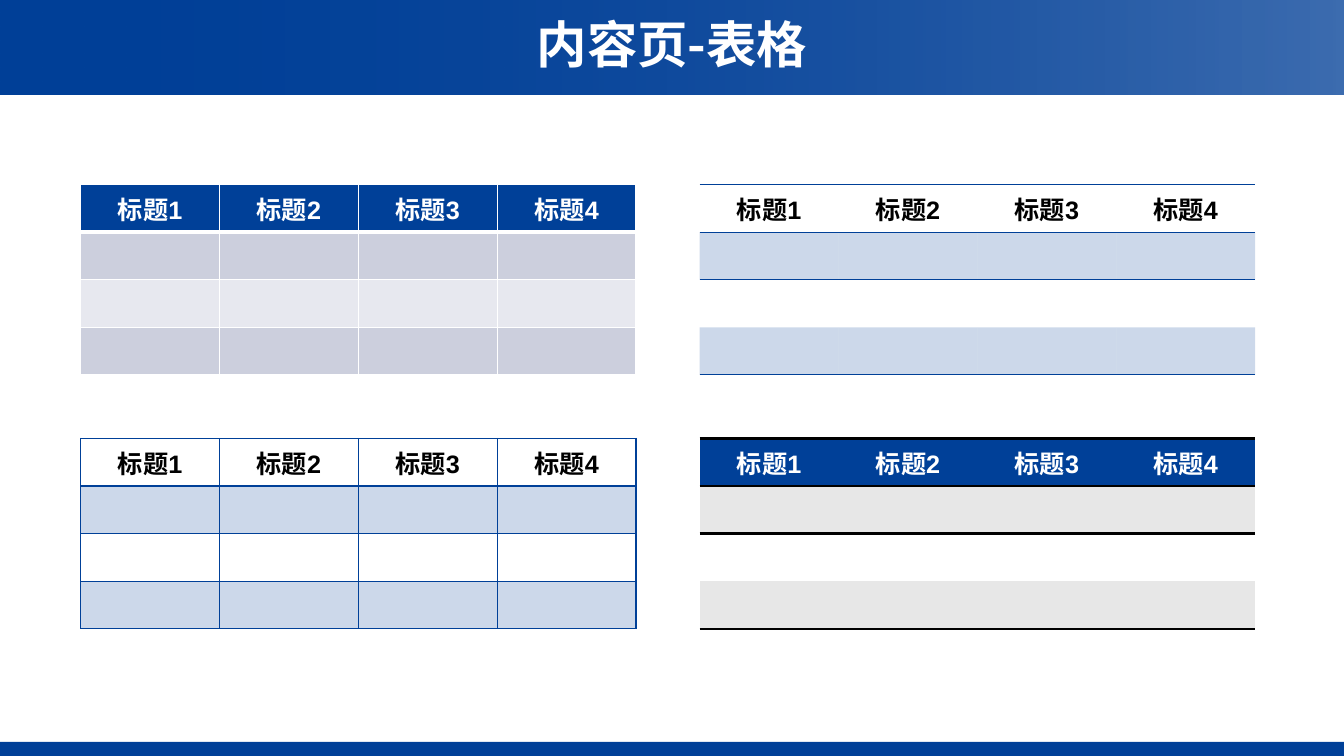
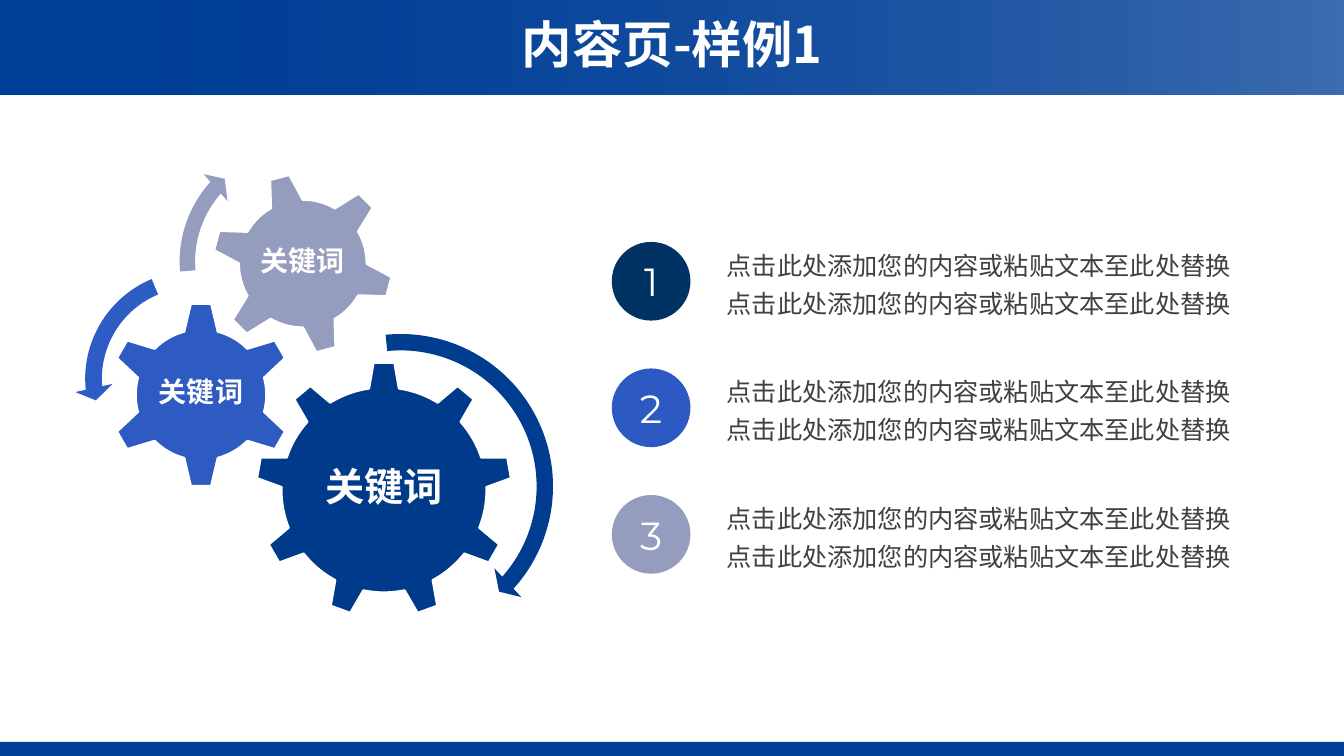
import lxml.etree
import pptx
import pptx.dml.color
import pptx.enum.shapes
import pptx.enum.text
import pptx.oxml.ns
import pptx.util

Pt = pptx.util.Pt
SHAPE = pptx.enum.shapes.MSO_SHAPE
ALIGN = pptx.enum.text.PP_ALIGN
ANCHOR = pptx.enum.text.MSO_ANCHOR
AUTO = pptx.enum.text.MSO_AUTO_SIZE
qn = pptx.oxml.ns.qn

# Shared look
WIDTH, HEIGHT = 960, 540
HEADER_H, FOOTER_H = 67.7, 10
BLUE, NAVY, ROYAL, GREY_BLUE = "004098", "003264", "2D5AC2", "959DBF"
WHITE, BLACK, TEXT = "FFFFFF", "000000", "404040"
CJK, LATIN, DIGITS = "Noto Sans CJK SC", "Arial", "Montserrat"
NO_TABLE_STYLE = "{2D5ABB26-0587-4C30-8999-92F81FD0307C}"


def rgb(color):
    return pptx.dml.color.RGBColor.from_string(color)


def set_alpha(color_element, percent):
    alpha = lxml.etree.SubElement(color_element, qn("a:alpha"))
    alpha.set("val", str(percent * 1000))


def add_run(p, text, size, color, font=CJK, bold=False):
    r = p.add_run()
    r.text = text
    r.font.size = Pt(size)
    r.font.bold = bold
    r.font.color.rgb = rgb(color)
    r.font.name = font
    ea = lxml.etree.SubElement(r.font._element, qn("a:ea"))
    ea.set("typeface", CJK)


def set_insets(tf, inset):
    tf.margin_left = tf.margin_right = Pt(inset)
    tf.margin_top = tf.margin_bottom = Pt(inset)


def add_shape(s, kind, x, y, w, h, color=None, line=None):
    sp = s.shapes.add_shape(kind, Pt(x), Pt(y), Pt(w), Pt(h))
    sp.shadow.inherit = False
    if color:
        sp.fill.solid()
        sp.fill.fore_color.rgb = rgb(color)
    if line:
        sp.line.color.rgb = rgb(line)
        sp.line.width = Pt(1.5)
    else:
        sp.line.fill.background()
    return sp


def add_centred(s, kind, cx, cy, size, color, line=None):
    return add_shape(s, kind, cx - size / 2, cy - size / 2, size, size, color, line)


# Header and footer bands, kept on the layout
def move_bands_to_layout(s):
    bands = [add_shape(s, SHAPE.RECTANGLE, 0, HEIGHT - FOOTER_H, WIDTH, FOOTER_H, BLUE)]
    for right_alpha in (77, 0):
        sp = add_shape(s, SHAPE.RECTANGLE, 0, 0, WIDTH, HEADER_H)
        sp.fill.gradient()
        sp.fill.gradient_angle = 180
        for stop in sp.fill.gradient_stops:
            stop.color.rgb = rgb(BLUE)
        set_alpha(sp.element.xpath(".//a:gs/a:srgbClr")[0], right_alpha)
        bands.append(sp)
    tree = s.slide_layout.shapes.element
    for i, sp in enumerate(bands):
        sp.element.xpath(".//p:cNvPr")[0].set("id", str(101 + i))
        tree.insert(2 + i, sp.element)


def add_slide(prs, title):
    s = prs.slides.add_slide(prs.slide_layouts[5])
    sp = s.shapes.title
    sp.left, sp.top, sp.width, sp.height = Pt(0), Pt(0), Pt(WIDTH), Pt(HEADER_H)
    tf = sp.text_frame
    tf.word_wrap = True
    tf.auto_size = AUTO.NONE
    tf.vertical_anchor = ANCHOR.MIDDLE
    set_insets(tf, 11.5)
    p = tf.paragraphs[0]
    p.alignment = ALIGN.CENTER
    p.line_spacing = 0.9
    add_run(p, title, 36, WHITE, bold=True)
    return s


# Tables
def set_border(cell, side, color, width):
    ln = lxml.etree.SubElement(cell._tc.get_or_add_tcPr(), qn("a:ln" + side))
    ln.set("w", str(Pt(width)))
    fill = lxml.etree.SubElement(ln, qn("a:solidFill"))
    lxml.etree.SubElement(fill, qn("a:srgbClr")).set("val", color)


def set_cell_fill(cell, color, alpha=None):
    if color is None:
        cell.fill.background()
        return
    cell.fill.solid()
    cell.fill.fore_color.rgb = rgb(color)
    if alpha:
        set_alpha(cell._tc.tcPr.xpath("./a:solidFill/a:srgbClr")[0], alpha)


def add_table(s, x, y, w, h, look):
    n_rows, n_cols = 4, 4
    frame = s.shapes.add_table(n_rows, n_cols, Pt(x), Pt(y), Pt(w), Pt(h))
    table = frame.table
    table.first_row = table.horz_banding = False
    frame.element.xpath(".//a:tableStyleId")[0].text = NO_TABLE_STYLE
    for column in table.columns:
        column.width = Pt(w / n_cols)
    last = n_rows - 1
    for i in range(n_rows):
        table.rows[i].height = Pt(h / n_rows)
        for j in range(n_cols):
            cell = table.cell(i, j)
            cell.vertical_anchor = ANCHOR.MIDDLE
            # Row rules: under the header, and round the outside or every cell
            sides = {}
            if look["grid"]:
                sides = dict.fromkeys("LRTB", look["line"])
            if i == 0:
                sides.update(T=look["line"], B=look["header_rule"])
            if i == 1:
                sides["T"] = look["header_rule"]
            if i == last:
                sides["B"] = look["line"]
            for side in "LRTB":
                if side in sides:
                    set_border(cell, side, look["line_color"], sides[side])
            if i == 0:
                set_cell_fill(cell, look["header"])
                p = cell.text_frame.paragraphs[0]
                p.alignment = ALIGN.CENTER
                color = WHITE if look["header"] else BLACK
                add_run(p, f"标题{j + 1}", 18, color, LATIN, True)
            else:
                set_cell_fill(cell, *look["bands"][(i - 1) % 2])


def table_slide(prs):
    s = add_slide(prs, "内容页-表格")
    move_bands_to_layout(s)
    tint, clear = (BLUE, 20), (None,)
    looks = [
        dict(header=BLUE, bands=[("CCCFDD",), ("E7E8EF",)], grid=True,
             line_color=WHITE, line=1, header_rule=3),
        dict(header=None, bands=[tint, clear], grid=False,
             line_color=BLUE, line=1, header_rule=1),
        dict(header=None, bands=[tint, clear], grid=True,
             line_color=BLUE, line=1, header_rule=2),
        dict(header=BLUE, bands=[("E7E7E7",), (WHITE,)], grid=False,
             line_color=BLACK, line=2, header_rule=2),
    ]
    for i, look in enumerate(looks):
        row, col = divmod(i, 2)
        add_table(s, 57.6 + col * 442.2, 131.8 + row * 181.4, 396.8, 136, look)


# Gears with keywords and turning arrows
def add_gears(s, x, y):
    gears = [
        (SHAPE.GEAR_9, 221, 255, 183, 0, "003A8A", 28),
        (SHAPE.GEAR_6, 90.3, 187, 133.2, 0, "2D5BC2", 20),
        (SHAPE.GEAR_6, 163, 93.3, 130.3, 345, GREY_BLUE, 20),
    ]
    for kind, cx, cy, size, turn, color, font_size in gears:
        add_centred(s, kind, x + cx, y + cy, size, color, WHITE).rotation = turn
        side = size * 0.6
        box = s.shapes.add_textbox(Pt(x + cx - side / 2), Pt(y + cy - side / 2 - 1),
                                   Pt(side), Pt(side))
        tf = box.text_frame
        tf.word_wrap = True
        tf.vertical_anchor = ANCHOR.MIDDLE
        set_insets(tf, 2)
        p = tf.paragraphs[0]
        p.alignment = ALIGN.CENTER
        p.line_spacing = 0.9
        add_run(p, "关键词", font_size, WHITE, LATIN, True)

    arrows = [
        (SHAPE.CIRCULAR_ARROW, 232.9, 252.4, 234, "003D91",
         (0.05, 2.99, 25.17, 158.6, 0.06)),
        (SHAPE.LEFT_CIRCULAR_ARROW, 84.9, 175.7, 170, "2E5CC5",
         (0.07, 4.3, 104.89, 148.38, 0.08)),
        (SHAPE.CIRCULAR_ARROW, 159.5, 91.8, 183.6, GREY_BLUE,
         (0.06, 3.94, 133.14, 105.08, 0.07)),
    ]
    for kind, cx, cy, size, color, adjustments in arrows:
        sp = add_centred(s, kind, x + cx, y + cy, size, color)
        for i, value in enumerate(adjustments):
            sp.adjustments[i] = value


# Numbered point with two lines of text
def add_point(s, x, y, number, color):
    sp = add_shape(s, SHAPE.OVAL, x, y, 56.2, 56.2, color)
    tf = sp.text_frame
    tf.vertical_anchor = ANCHOR.MIDDLE
    p = tf.paragraphs[0]
    p.alignment = ALIGN.CENTER
    add_run(p, str(number), 28, WHITE, DIGITS)

    box = s.shapes.add_textbox(Pt(x + 75), Pt(y - 3), Pt(411), Pt(59))
    tf = box.text_frame
    tf.word_wrap = True
    tf.auto_size = AUTO.SHAPE_TO_FIT_TEXT
    for p in (tf.paragraphs[0], tf.add_paragraph()):
        p.alignment = ALIGN.JUSTIFY
        p.line_spacing = 1.25
        add_run(p, "点击此处添加您的内容或粘贴文本至此处替换", 18, TEXT)


def gear_slide(prs):
    s = add_slide(prs, "内容页-样例1")
    for i, color in enumerate((NAVY, ROYAL, GREY_BLUE)):
        add_point(s, 437, 172.8 + i * 90.4, i + 1, color)
    add_gears(s, 53.3, 95)


def main():
    prs = pptx.Presentation()
    prs.slide_width, prs.slide_height = Pt(WIDTH), Pt(HEIGHT)
    table_slide(prs)
    gear_slide(prs)
    prs.save("out.pptx")


if __name__ == "__main__":
    main()
